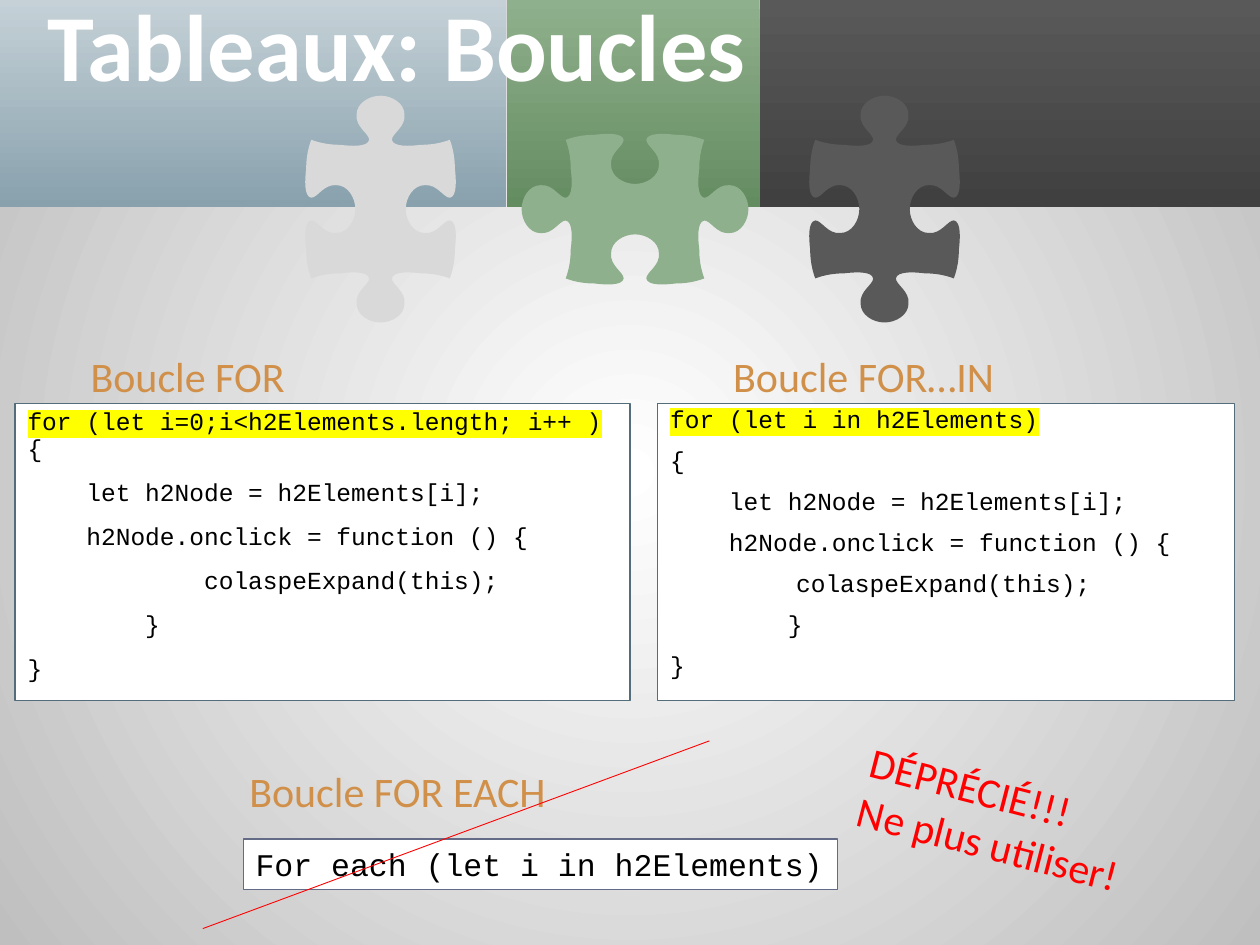
from lxml import etree
from pptx import Presentation
from pptx.dml.color import RGBColor
from pptx.enum.shapes import MSO_CONNECTOR, MSO_SHAPE
from pptx.enum.text import MSO_ANCHOR, MSO_AUTO_SIZE, PP_ALIGN
from pptx.oxml.ns import qn
from pptx.util import Inches, Pt

THEME = {
    "text": "Calibri", "code": "Courier New",
    "title_size": 54, "heading_size": 24, "code_size": 14, "each_size": 18,
    "white": "FFFFFF", "black": "000000", "heading": "D19049", "warning": "FF0000",
    "highlight": "FFFF00", "code_border": "546D7A", "each_border": "646B86",
    "backdrop": ("FFFFFF", "BFBFBF"),
    "blue_band": ("C5D1D7", "88A1AD"), "green_band": ("8FB08C", "648C61"),
    "dark_band": ("595959", "404040"),
    "light_piece": "D9D9D9", "green_piece": "8FB08C", "dark_piece": "595959",
}

TITLE = ("Tableaux: Boucles", (0.28, 0, 9.04, 0.8))
# width, gradient from top to bottom
BANDS = [(4.02, "blue_band"), (2.01, "green_band"), (3.97, "dark_band")]
BAND_HEIGHT = 1.64

# centre, rotation, colour
PUZZLE_PIECES = [(3.02, 90, "light_piece"), (5.04, 0, "green_piece"), (7.02, 90, "dark_piece")]
PUZZLE_MIDDLE = 1.66
# Hundredths of an inch, measured from the centre of a piece
HALF_SIDE = 55
SOCKET, KNOB = -1, 1
SIDES = [SOCKET, KNOB, SOCKET, KNOB]  # top, right, bottom, left
# Half a side as (along, outward): a corner, then three Bezier points per curve
CORNER = (-HALF_SIDE, 0)
HALF_PROFILE = [
    CORNER,
    (-47, -3), (-39, -4), (-32, -4),  # shallow bulge
    (-24, -5), (-10, -6), (-9, 0),    # neck
    (-9, 5), (-20, 10), (-19, 20),    # flank of the knob
    (-19, 29), (-9, 35), (0, 35),     # tip of the knob
]

# heading, left, width, line spacing, highlighted code, rest of that line, other lines
LOOPS = [
    ("Boucle FOR", 0.12, 4.88, 0.9, "for (let i=0;i<h2Elements.length; i++ )", " {", [
        "    let h2Node = h2Elements[i];",
        "    h2Node.onclick = function () {",
        "            colaspeExpand(this);",
        "        }",
        "}",
    ]),
    ("Boucle FOR…IN", 5.22, 4.58, 0.8, "for (let i in h2Elements)", "", [
        "{",
        "    let h2Node = h2Elements[i];",
        "    h2Node.onclick = function () {",
        "\tcolaspeExpand(this);",
        "        }",
        "}",
    ]),
]
CODE_TOP, CODE_HEIGHT, CODE_TAB = 3.2, 2.36, 1
HEADING_TOP, HEADING_INDENT, HEADING_SIZE = 2.73, 0.5, (3.51, 0.5)
FOR_EACH_HEADING = ("Boucle FOR EACH", (1.88, 6.03))
FOR_EACH_CODE = ("For each (let i in h2Elements)", (1.93, 6.66, 4.72, 0.4))
STRIKE = (5.63, 5.88, 1.61, 7.37)
WARNING = (["DÉPRÉCIÉ!!!", "Ne plus utiliser!"], (6.73, 6.08, 2.6, 0.91), 14.4)


def rgb(name):
    return RGBColor.from_string(THEME.get(name, name))


def inches(lengths):
    return [Inches(length) for length in lengths]


def paint(shape, color):
    shape.fill.solid()
    shape.fill.fore_color.rgb = rgb(color)
    shape.shadow.inherit = False


def fill_gradient(fill, name):
    fill.gradient()
    for position, (stop, color) in enumerate(zip(fill.gradient_stops, THEME[name])):
        stop.position = position
        stop.color.rgb = rgb(color)


def paint_backdrop(slide):
    """Fill the background with a gradient that spreads from the centre."""
    fill_gradient(slide.background.fill, "backdrop")
    gradient = next(slide.background._cSld.iter(qn("a:gradFill")))
    gradient.remove(gradient.find(qn("a:lin")))
    spread = etree.SubElement(gradient, qn("a:path"), {"path": "circle"})
    etree.SubElement(spread, qn("a:fillToRect"), dict.fromkeys("ltrb", "50000"))


def add_bands(slide):
    left = 0
    for width, colors in BANDS:
        band = slide.shapes.add_shape(MSO_SHAPE.RECTANGLE, *inches((left, 0, width, BAND_HEIGHT)))
        fill_gradient(band.fill, colors)
        band.fill.gradient_angle = 270
        band.line.fill.background()
        band.shadow.inherit = False
        left += width


def quarter_turns(x, y, turns):
    for _ in range(turns):
        x, y = -y, x
    return x, y


def puzzle_outline():
    """Mirror the half profile into a side, then turn it onto all four sides."""
    side = HALF_PROFILE + [(-along, out) for along, out in reversed(HALF_PROFILE[:-1])]
    return [
        quarter_turns(along, -(HALF_SIDE + direction * out), turns)
        for turns, direction in enumerate(SIDES)
        for along, out in side[1:]
    ]


def bend_segments(shape):
    """Turn every three line segments into one cubic curve."""
    segments = list(shape._element.iter(qn("a:lnTo")))
    for first in range(0, len(segments), 3):
        curve = etree.Element(qn("a:cubicBezTo"))
        segments[first].addprevious(curve)
        for segment in segments[first:first + 3]:
            curve.append(segment[0])
            segment.getparent().remove(segment)


def add_puzzle_piece(slide, center, rotation, color):
    builder = slide.shapes.build_freeform(-HALF_SIDE, -HALF_SIDE, scale=Inches(0.01))
    builder.add_line_segments(puzzle_outline(), close=True)
    piece = builder.convert_to_shape(*inches((center, PUZZLE_MIDDLE)))
    bend_segments(piece)
    piece.rotation = rotation
    paint(piece, color)
    piece.line.fill.background()


def add_run(paragraph, text, font, size, color, bold=False, highlight=False):
    run = paragraph.add_run()
    run.text = text
    formats = {"name": THEME[font], "size": Pt(THEME[size]), "bold": bold}
    for attribute, value in formats.items():
        setattr(run.font, attribute, value)
    run.font.color.rgb = rgb(color)
    if highlight:
        marker = etree.Element(qn("a:highlight"))
        etree.SubElement(marker, qn("a:srgbClr"), val=THEME["highlight"])
        run.font._element.find(qn("a:solidFill")).addnext(marker)


def add_text(slide, lines, box, size, color, bold=False, spacing=None):
    label = slide.shapes.add_textbox(*inches(box))
    frame = label.text_frame
    frame.word_wrap = True
    for number, line in enumerate(lines):
        paragraph = frame.add_paragraph() if number else frame.paragraphs[0]
        paragraph.line_spacing = spacing
        add_run(paragraph, line, "text", size, color, bold)
    return label


def add_code_box(slide, box, border, wrap=True):
    code = slide.shapes.add_shape(MSO_SHAPE.RECTANGLE, *inches(box))
    paint(code, "white")
    code.line.color.rgb = rgb(border)
    code.line.width = Pt(0.75)
    code.text_frame.word_wrap = wrap
    code.text_frame.vertical_anchor = MSO_ANCHOR.TOP
    code.text_frame.paragraphs[0].alignment = PP_ALIGN.LEFT
    return code.text_frame


def add_tab_stop(paragraph):
    stops = etree.SubElement(paragraph._p.get_or_add_pPr(), qn("a:tabLst"))
    etree.SubElement(stops, qn("a:tab"), pos=str(Inches(CODE_TAB)), algn="l")


def add_loop(slide, heading, left, width, spacing, marked, rest, lines):
    frame = add_code_box(slide, (left, CODE_TOP, width, CODE_HEIGHT), "code_border")
    opening = frame.paragraphs[0]
    opening.line_spacing = spacing
    add_run(opening, marked, "code", "code_size", "black", highlight=True)
    if rest:
        add_run(opening, rest, "code", "code_size", "black")
    for line in lines:
        paragraph = frame.add_paragraph()
        paragraph.alignment = PP_ALIGN.LEFT
        paragraph.line_spacing = spacing
        paragraph.space_before = Pt(10)
        if line.startswith("\t"):
            add_tab_stop(paragraph)
        add_run(paragraph, line, "code", "code_size", "black")
    heading_box = (left + HEADING_INDENT, HEADING_TOP, *HEADING_SIZE)
    add_text(slide, [heading], heading_box, "heading_size", "heading")


def add_for_each(slide):
    code, box = FOR_EACH_CODE
    frame = add_code_box(slide, box, "each_border", wrap=False)
    frame.auto_size = MSO_AUTO_SIZE.SHAPE_TO_FIT_TEXT
    add_run(frame.paragraphs[0], code, "code", "each_size", "black")
    heading, corner = FOR_EACH_HEADING
    add_text(slide, [heading], (*corner, *HEADING_SIZE), "heading_size", "heading")
    strike = slide.shapes.add_connector(MSO_CONNECTOR.STRAIGHT, *inches(STRIKE))
    strike.line.color.rgb = rgb("warning")
    strike.line.width = Pt(0.5)
    etree.SubElement(strike._element.spPr, qn("a:effectLst"))
    lines, box, rotation = WARNING
    add_text(slide, lines, box, "heading_size", "warning").rotation = rotation


deck = Presentation()
deck.slide_width, deck.slide_height = inches((10, 7.5))
slide = deck.slides.add_slide(deck.slide_layouts[6])
paint_backdrop(slide)
add_bands(slide)
for puzzle_piece in PUZZLE_PIECES:
    add_puzzle_piece(slide, *puzzle_piece)
title, title_box = TITLE
heading = add_text(slide, [title], title_box, "title_size", "white", bold=True, spacing=0.9)
heading.text_frame.vertical_anchor = MSO_ANCHOR.MIDDLE
for loop in LOOPS:
    add_loop(slide, *loop)
add_for_each(slide)
deck.save("out.pptx")
